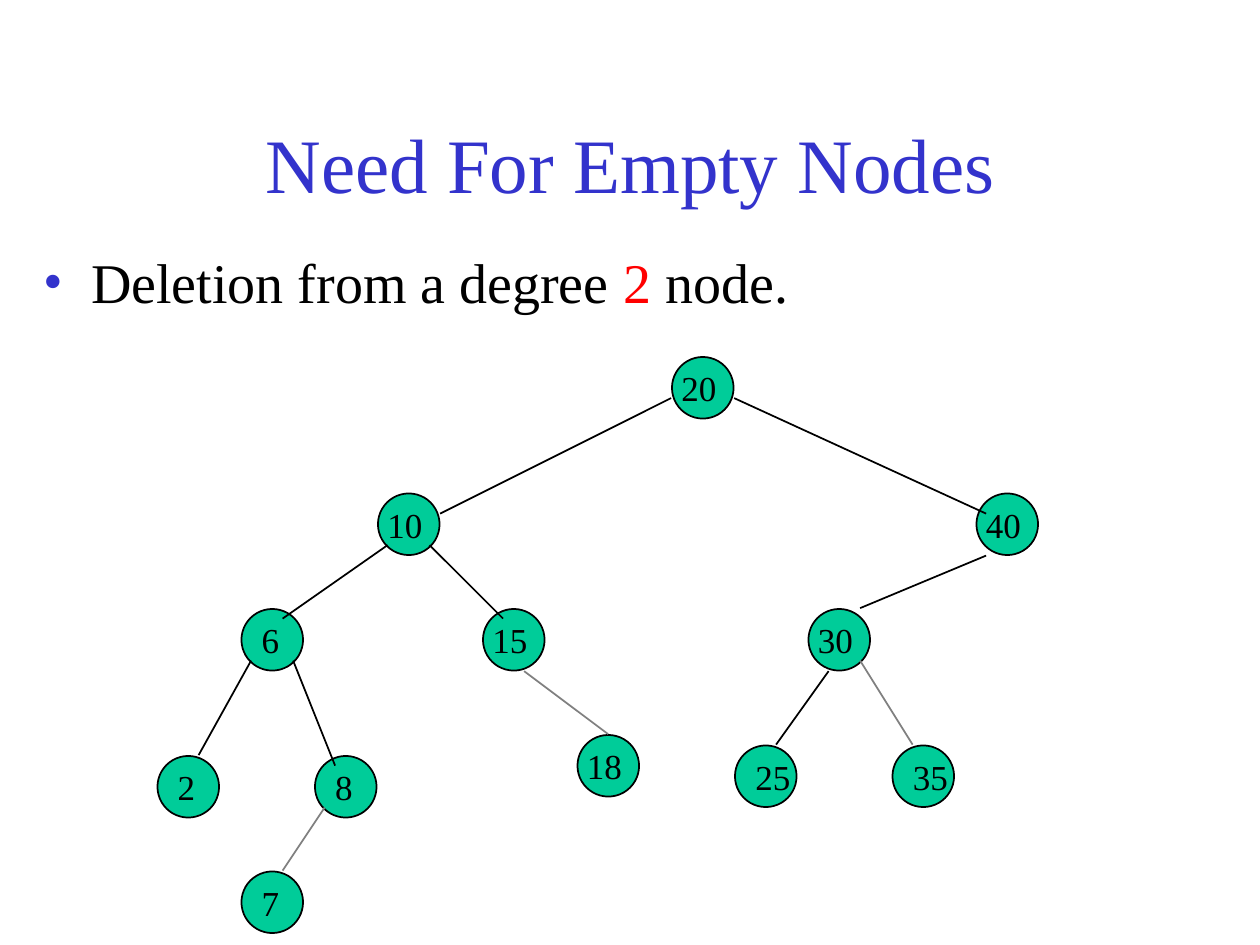
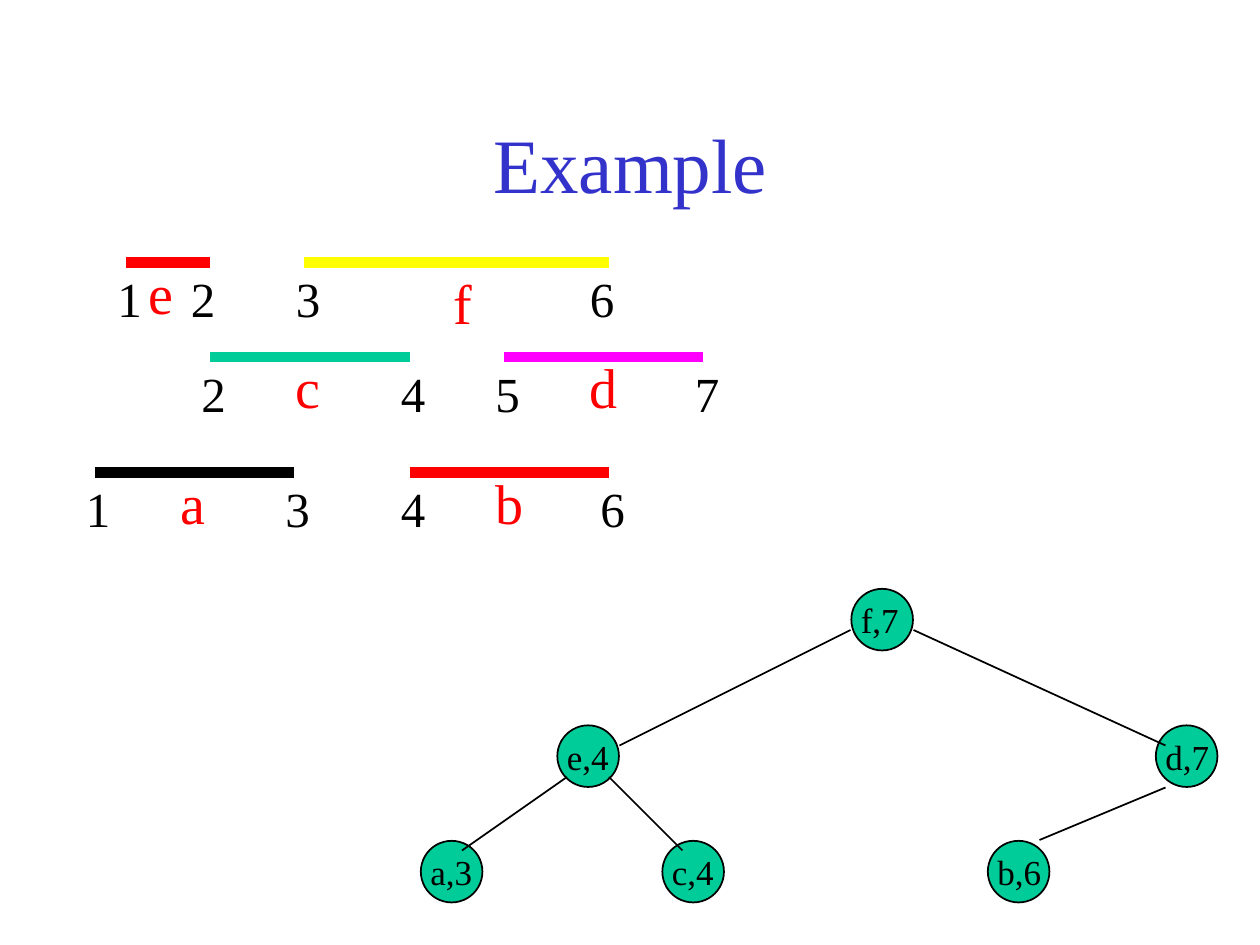
from dataclasses import dataclass

from lxml import etree
from pptx import Presentation
from pptx.dml.color import RGBColor
from pptx.enum.shapes import MSO_CONNECTOR, MSO_SHAPE
from pptx.enum.text import MSO_ANCHOR, PP_ALIGN
from pptx.oxml.ns import qn
from pptx.util import Pt

OVAL = MSO_SHAPE.OVAL
LINE = MSO_CONNECTOR.STRAIGHT
TOP, MIDDLE = MSO_ANCHOR.TOP, MSO_ANCHOR.MIDDLE
LEFT, CENTER = PP_ALIGN.LEFT, PP_ALIGN.CENTER


@dataclass(frozen=True)
class Theme:
    font: str = "Times New Roman"
    blue: str = "3333CC"
    black: str = "000000"
    red: str = "FF0000"
    green: str = "00CC99"
    gray: str = "808080"
    yellow: str = "FFFF00"
    pink: str = "FF00FF"
    title: float = 44
    body: float = 32
    digit: float = 28
    node: float = 20
    thin: float = 1
    thick: float = 6


THEME = Theme()
DIAM = 35.2
WIDTHS = {1: 24.5, 2: 35, 3: 40}

CORE_NODES = [(384, 204), (216, 282), (558, 282), (138, 348), (276, 348), (462, 348)]
CORE_EDGES = [
    (383.5, 227.5, 251.5, 293.5),
    (419.5, 227.5, 563.5, 293.5),
    (221.5, 311.5, 161.5, 353.5),
    (245.5, 311.5, 287.5, 353.5),
    (563.5, 317.5, 491.5, 347.5),
]
LOW_NODES = [(90, 432), (180, 432), (420, 426), (510, 426), (138, 498), (330, 420)]
LOW_EDGES = [
    (143.5, 377.5, 113.5, 431.5),
    (167.5, 377.5, 191.5, 437.5),
    (473.5, 383.5, 443.5, 425.5),
]
EMPTY_EDGES = [
    (491.5, 377.5, 521.5, 425.5),
    (185.5, 461.5, 161.5, 497.5),
    (299.5, 383.5, 347.5, 419.5),
]


def add_text(slide, box, runs, size, color=THEME.black, align=LEFT,
             anchor=TOP, wrap=True, bullet=None):
    shape = slide.shapes.add_textbox(*map(Pt, box))
    frame = shape.text_frame
    frame.word_wrap = wrap
    frame.vertical_anchor = anchor
    para = frame.paragraphs[0]
    para.alignment = align
    if isinstance(runs, str):
        runs = [(runs, color)]
    for words, shade in runs:
        run = para.add_run()
        run.text = words
        run.font.name = THEME.font
        run.font.size = Pt(size)
        run.font.color.rgb = RGBColor.from_string(shade)
    if bullet:
        add_bullet(para, bullet)


def add_bullet(para, color):
    props = para._p.get_or_add_pPr()
    props.set("marL", str(Pt(27)))
    props.set("indent", str(Pt(-27)))
    shade = etree.SubElement(props, qn("a:buClr"))
    etree.SubElement(shade, qn("a:srgbClr"), val=color)
    etree.SubElement(props, qn("a:buFont"), typeface=THEME.font)
    etree.SubElement(props, qn("a:buChar"), char="•")


def add_title(slide, words):
    add_text(slide, (54, 48, 612.5, 90), words, THEME.title, color=THEME.blue,
             align=CENTER, anchor=MIDDLE)


def add_line(slide, ends, color=THEME.black, width=THEME.thin):
    line = slide.shapes.add_connector(LINE, *map(Pt, ends))
    line.line.color.rgb = RGBColor.from_string(color)
    line.line.width = Pt(width)
    etree.SubElement(line._element.spPr, qn("a:effectLst"))


def add_node(slide, left, top):
    node = slide.shapes.add_shape(OVAL, Pt(left), Pt(top), Pt(DIAM), Pt(DIAM))
    node.shadow.inherit = False
    node.fill.solid()
    node.fill.fore_color.rgb = RGBColor.from_string(THEME.green)
    node.line.color.rgb = RGBColor.from_string(THEME.black)
    node.line.width = Pt(THEME.thin)


def add_tree(slide, nodes, labels, edges, empty=(), inset=(), shift=(0, 0)):
    dx, dy = shift
    spots = [(x + dx, y + dy) for x, y in nodes]
    for spot in spots:
        add_node(slide, *spot)
    for group, color in ((edges, THEME.black), (empty, THEME.gray)):
        for x1, y1, x2, y2 in group:
            add_line(slide, (x1 + dx, y1 + dy, x2 + dx, y2 + dy), color)
    for (left, top), label in zip(spots, labels):
        nudge = 4.5 if len(label) == 1 or label in inset else -1.7
        box = (left + nudge, top + 2, WIDTHS[len(label)], 31)
        add_text(slide, box, label, THEME.node)


def add_range(slide, name, first, last, start, end, top, color,
              lead=42, drop=-6, back=12):
    add_line(slide, (start, top, end, top), color, THEME.thick)
    for value, left in ((first, start - 12), (last, end - back)):
        add_text(slide, (left, top, 30, 41), str(value), THEME.digit)
    add_text(slide, (start + lead, top + drop, 30, 46), name, THEME.body,
             color=THEME.red)


def draw_need(slide):
    add_title(slide, "Need For Empty Nodes")
    runs = [("Deletion from a degree ", THEME.black), ("2", THEME.red),
            (" node.", THEME.black)]
    add_text(slide, (18, 138, 612, 48), runs, THEME.body, bullet=THEME.blue)
    labels = "20 10 40 6 15 30 2 8 25 35 7 18".split()
    add_tree(slide, CORE_NODES + LOW_NODES, labels, CORE_EDGES + LOW_EDGES,
             empty=EMPTY_EDGES, inset=("25", "35"))


def draw_example(slide):
    add_title(slide, "Example")
    add_range(slide, "e", 1, 2, 72, 120, 150, THEME.red, lead=6, back=18)
    add_range(slide, "f", 3, 6, 174, 348, 150, THEME.yellow, lead=78, drop=0, back=18)
    add_range(slide, "c", 2, 4, 120, 234, 204, THEME.green)
    add_range(slide, "d", 5, 7, 288, 402, 204, THEME.pink)
    add_range(slide, "a", 1, 3, 54, 168, 270, THEME.black)
    add_range(slide, "b", 4, 6, 234, 348, 270, THEME.red)
    labels = "f,7 e,4 d,7 a,3 c,4 b,6".split()
    add_tree(slide, CORE_NODES, labels, CORE_EDGES, shift=(102.5, 132.5))


def main():
    deck = Presentation()
    deck.slide_width, deck.slide_height = Pt(720), Pt(540)
    blank = deck.slide_layouts[6]
    for draw in (draw_need, draw_example):
        draw(deck.slides.add_slide(blank))
    deck.save("out.pptx")


if __name__ == "__main__":
    main()
